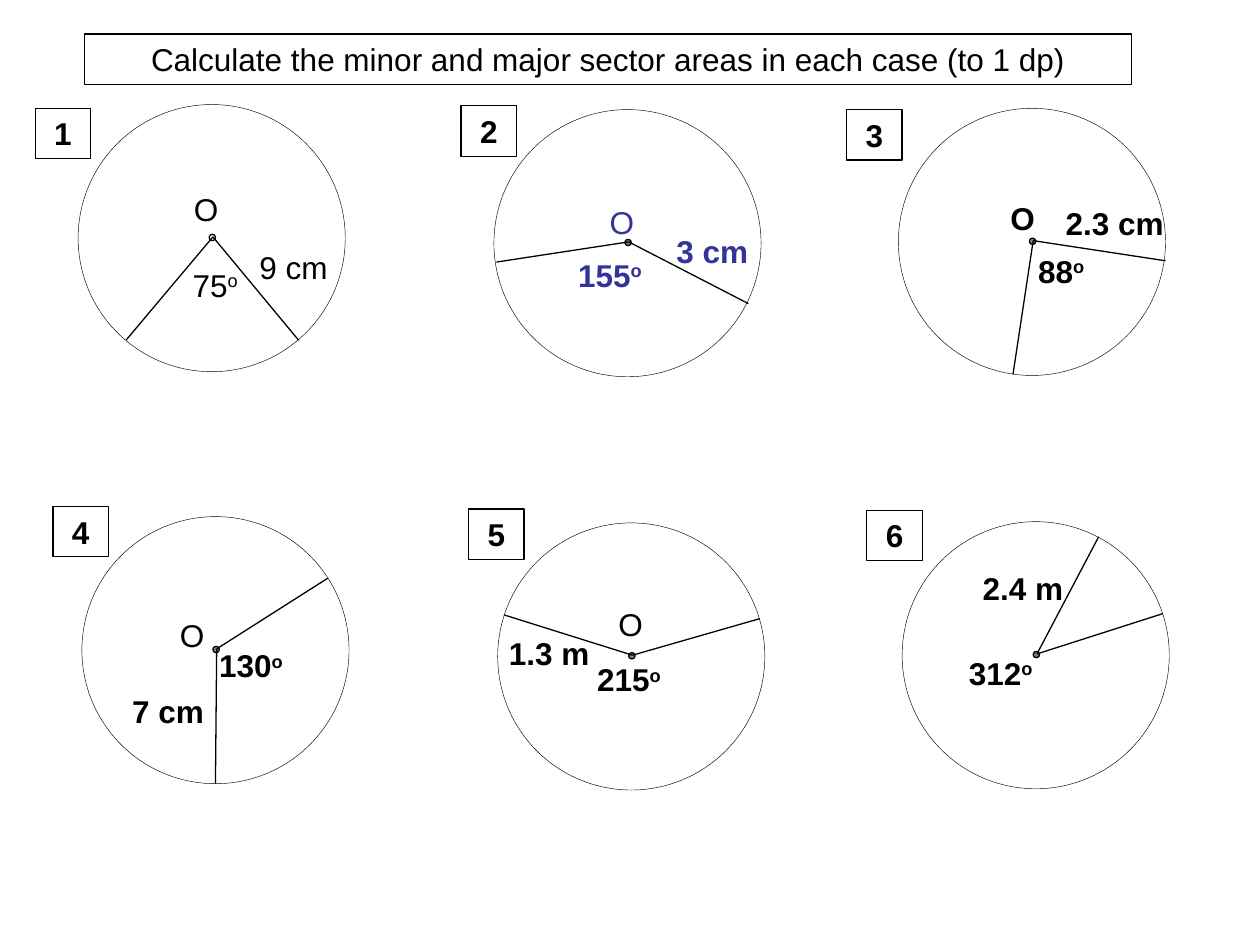
import pptx
import pptx.dml.color
import pptx.enum.shapes
import pptx.enum.text
import pptx.util
from lxml import etree
from pptx.oxml.ns import qn

PX = 9144
KIND = pptx.enum.shapes.MSO_SHAPE
ALIGN = pptx.enum.text.PP_ALIGN
BLACK, WHITE, BLUE = "000000", "FFFFFF", "333399"
FONT = {"name": "Arial", "size": pptx.util.Pt(18)}
FRAME = {
    "word_wrap": True,
    "auto_size": pptx.enum.text.MSO_AUTO_SIZE.SHAPE_TO_FIT_TEXT,
    "margin_left": 10 * PX,
    "margin_right": 10 * PX,
    "margin_top": 5 * PX,
    "margin_bottom": 5 * PX,
}

CASES = [
    {"box": (28, 86), "mid": (169, 188), "ends": [(100, 270), (237, 270)], "dot": None,
     "labels": [("75", 143, 206, 85, False, True), ("9 cm", 196, 192, 85, False, False),
                ("O", 144, 146, 69, False, False)]},
    {"box": (366, 84), "mid": (499, 192), "ends": [(594, 241), (394, 208)], "color": BLUE,
     "labels": [("155", 449, 198, 85, True, True), ("3 cm", 527, 179, 85, True, False),
                ("O", 474, 156, 69, False, False)]},
    {"box": (672, 87), "mid": (820, 191), "ends": [(804, 297), (925, 207)],
     "labels": [("88", 814, 195, 85, True, True), ("2.3 cm", 836, 157, 104, True, False),
                ("O", 792, 153, 69, True, False)]},
    {"box": (42, 402), "mid": (172, 515), "ends": [(171, 622), (260, 459)],
     "labels": [("130", 164, 508, 85, True, True), ("7 cm", 95, 544, 85, True, False),
                ("O", 133, 484, 69, False, False)]},
    {"box": (372, 404), "mid": (502, 520), "ends": [(400, 488), (603, 491)],
     "labels": [("215", 464, 519, 85, True, True), ("1.3 m", 394, 498, 104, True, False),
                ("O", 481, 475, 69, False, False)]},
    {"box": (688, 405), "mid": (823, 519), "ends": [(872, 426), (923, 487)],
     "labels": [("312", 759, 514, 85, True, True), ("2.4 m", 770, 447, 100, True, False)]},
]


def scale(*nums):
    return [num * PX for num in nums]


def paint(code):
    return pptx.dml.color.RGBColor.from_string(code)


def style(item, values):
    for name, value in values.items():
        setattr(item, name, value)


def stroke(item, width):
    item.line.color.rgb = paint(BLACK)
    item.line.width = pptx.util.Pt(width)


def shape(slide, kind, area, width=0.75, fill=None, alpha=None):
    item = slide.shapes.add_shape(kind, *scale(*area))
    item.shadow.inherit = False
    stroke(item, width)
    if fill is None:
        item.fill.background()
        return item
    item.fill.solid()
    item.fill.fore_color.rgb = paint(fill)
    if alpha:
        tone = item.fill._xPr.find(qn("a:solidFill"))[0]
        etree.SubElement(tone, qn("a:alpha")).set("val", str(alpha * 1000))
    return item


def write(item, text, color=BLACK, bold=False, align=ALIGN.LEFT, degree=False):
    frame = item.text_frame
    style(frame, FRAME)
    frame.vertical_anchor = pptx.enum.text.MSO_ANCHOR.TOP
    para = frame.paragraphs[0]
    para.alignment = align
    for part in [text, "o"] if degree else [text]:
        run = para.add_run()
        run.text = part
        style(run.font, {**FONT, "bold": bold})
        run.font.color.rgb = paint(color)
    if degree:
        run.font._element.set("baseline", "30000")


def label(slide, color, text, left, top, width, bold, degree):
    item = slide.shapes.add_textbox(*scale(left, top, width, 40))
    write(item, text, color, bold, degree=degree)


def ray(slide, start, end):
    kind = pptx.enum.shapes.MSO_CONNECTOR.STRAIGHT
    item = slide.shapes.add_connector(kind, *scale(*start, *end))
    stroke(item, 0.75)
    etree.SubElement(item._element.spPr, qn("a:effectLst"))


def sector(slide, mid, ends, dot):
    x, y = mid
    shape(slide, KIND.OVAL, (x - 107, y - 105, 212, 212), 0.25)
    shape(slide, KIND.OVAL, (x - 3, y - 2, 5, 5), fill=dot, alpha=50)
    for end in ends:
        ray(slide, mid, end)


def main():
    deck = pptx.Presentation()
    deck.slide_width, deck.slide_height = scale(1000, 750)
    slide = deck.slides.add_slide(deck.slide_layouts[6])
    title = shape(slide, KIND.RECTANGLE, (67, 27, 831, 40), fill=WHITE)
    write(title, "Calculate the minor and major sector areas in each case (to 1 dp)",
          align=ALIGN.CENTER)
    for num, case in enumerate(CASES, 1):
        sector(slide, case["mid"], case["ends"], case.get("dot", BLACK))
        for entry in case["labels"]:
            label(slide, case.get("color", BLACK), *entry)
        box = shape(slide, KIND.RECTANGLE, (*case["box"], 44, 40))
        write(box, str(num), bold=True, align=ALIGN.CENTER)
    deck.save("out.pptx")


if __name__ == "__main__":
    main()
